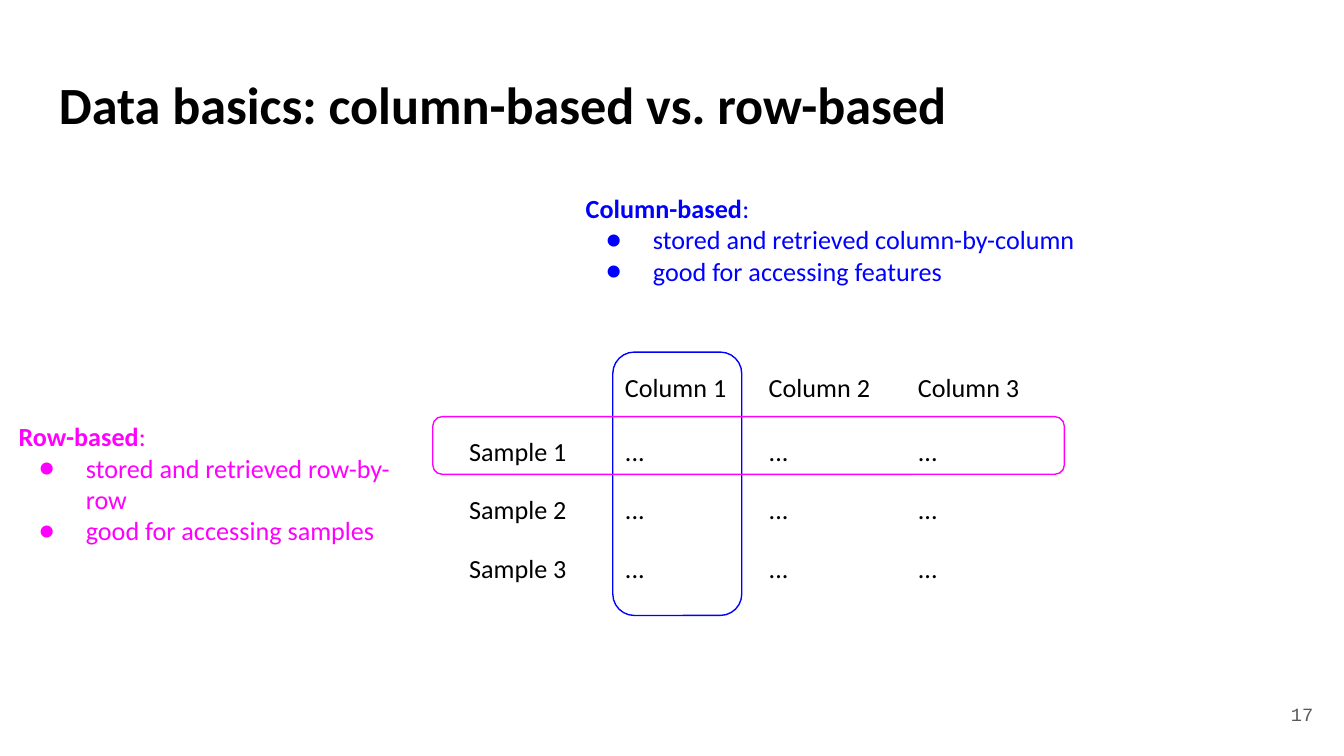
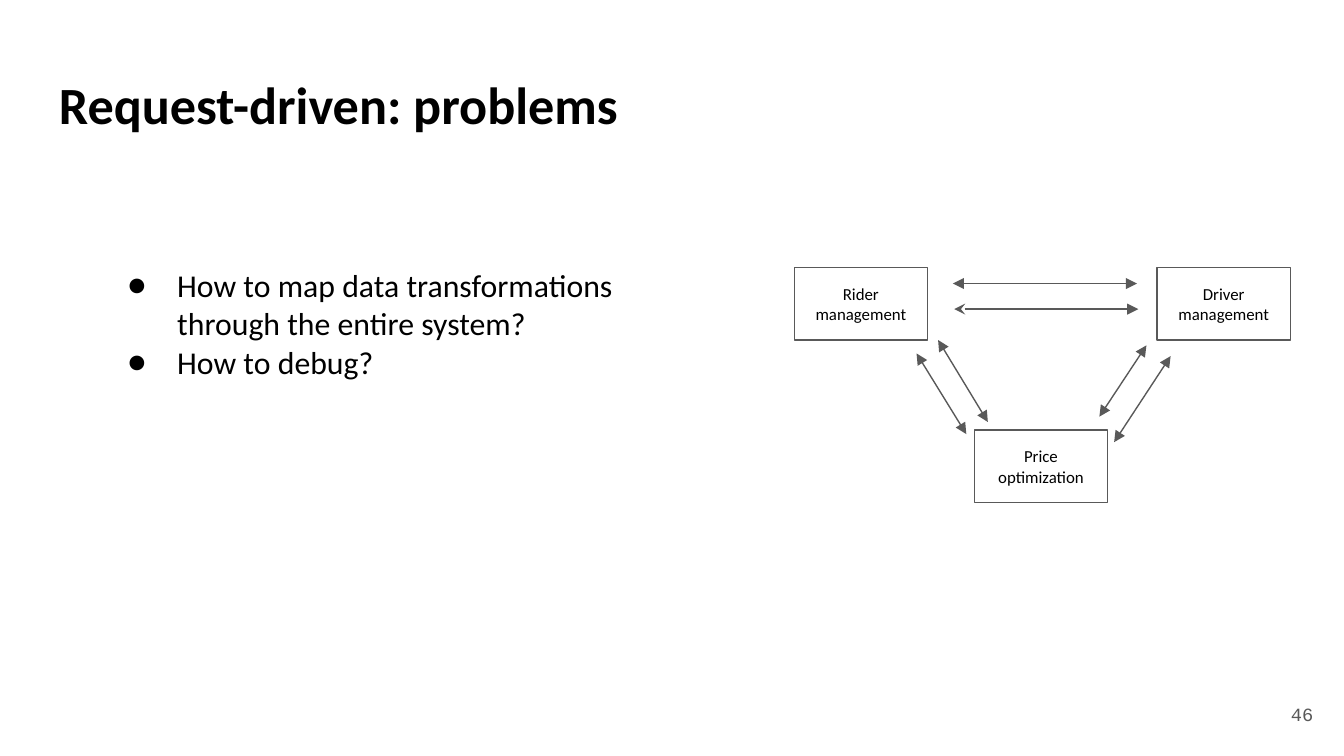
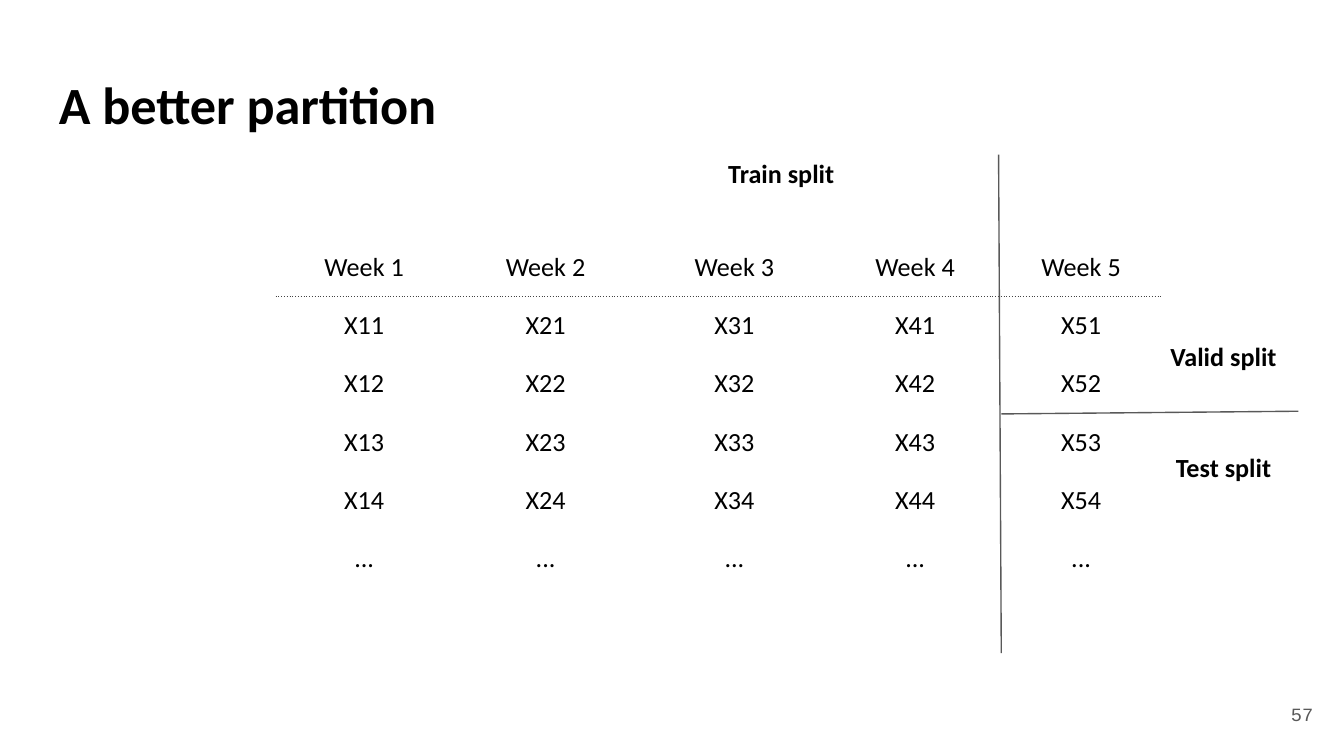
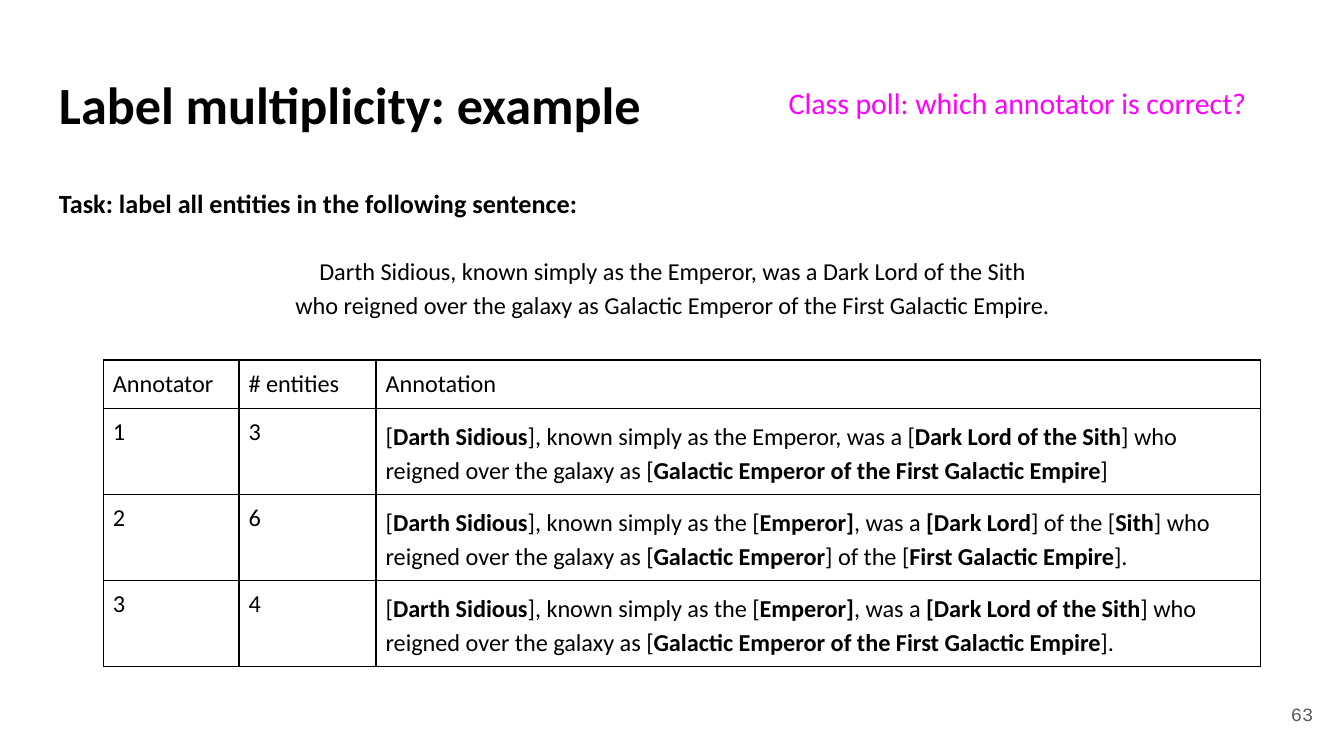
from lxml import etree
from pptx import Presentation
from pptx.dml.color import RGBColor
from pptx.enum.shapes import MSO_CONNECTOR, MSO_SHAPE
from pptx.enum.text import MSO_ANCHOR, PP_ALIGN
from pptx.oxml.ns import qn
from pptx.util import Inches, Pt

LEFT, CENTER, RIGHT = PP_ALIGN.LEFT, PP_ALIGN.CENTER, PP_ALIGN.RIGHT
TOP, MIDDLE = MSO_ANCHOR.TOP, MSO_ANCHOR.MIDDLE
ROUNDED, PROCESS = MSO_SHAPE.ROUNDED_RECTANGLE, MSO_SHAPE.FLOWCHART_PROCESS
STRAIGHT = MSO_CONNECTOR.STRAIGHT
PLAIN_TABLE_STYLE = "{2D5ABB26-0587-4C30-8999-92F81FD0307C}"

COLORS = {"text": "000000", "gray": "595959", "rule": "434343",
          "blue": "0000FF", "magenta": "FF00FF"}
BASE = {"size": 14, "color": "text", "font": "Calibri", "align": LEFT,
        "spacing": None, "before": None, "bullet": None}
TITLE = {"size": 28}
PAGE_NUMBER = {"size": 10, "color": "gray", "font": "Courier New", "align": RIGHT}
NODE = {"size": 9, "align": CENTER}
SLIDE_WIDTH = Inches(10)
SLIDE_HEIGHT = SLIDE_WIDTH * 9 // 16
TITLE_BOX = (0.34, 0.44, 9.32, 0.63)
NUMBER_BOX = (9.27, 5.1, 0.6, 0.43)
LINE_WIDTH = 0.75
ROW_HEIGHT = 0.42

# Text between ** marks is bold.
STORAGE_ROWS = [["", "Column 1", "Column 2", "Column 3"]] + [
    [f"Sample {number}"] + ["..."] * 3 for number in (1, 2, 3)]
STORAGE_HIGHLIGHTS = [((4.56, 2.62, 0.96, 1.96), "blue"),
                      ((3.22, 3.1, 4.7, 0.43), "magenta")]
STORAGE_NOTES = [
    ((0.04, 3.03, 3.18, 1.14), "magenta", "**Row-based**:",
     ["stored and retrieved row-by-row", "good for accessing samples"]),
    ((4.26, 1.33, 4.93, 0.91), "blue", "**Column-based**:",
     ["stored and retrieved column-by-column", "good for accessing features"]),
]

PROBLEMS = ["How to map data transformations through the entire system?",
            "How to debug?"]
SERVICE_SIZE = (0.99, 0.54)
SERVICES = [((5.91, 1.99), ["Rider", "management"]),
            ((8.61, 1.99), ["Driver management"]),
            ((7.25, 3.2), ["Price optimization"])]
SERVICE_ARROWS = [
    ((7.09, 2.11), (8.46, 2.11), "triangle"),
    ((7.1, 2.3), (8.47, 2.3), "stealth"),
    ((6.98, 2.53), (7.35, 3.14), "triangle"),
    ((6.82, 2.63), (7.19, 3.23), "triangle"),
    ((8.71, 2.65), (8.29, 3.29), "triangle"),
    ((8.18, 3.1), (8.53, 2.57), "triangle"),
]

WEEKS = range(1, 6)
WEEK_ROWS = ([[f"Week {week}" for week in WEEKS]]
             + [[f"X{week}{sample}" for week in WEEKS] for sample in range(1, 5)]
             + [["..."] * len(WEEKS)])
SPLIT_LINES = [((7.45, 3.08), (9.66, 3.06)), ((7.43, 1.15), (7.45, 4.86))]
SPLIT_LABELS = [((8.61, 2.43, 1.17, 0.44), "Valid split"),
                ((5.32, 1.07, 1.17, 0.44), "Train split"),
                ((8.65, 3.26, 1.22, 0.44), "Test split")]

POLL = "Class poll: which annotator is correct?"
TASK = "**Task: label all entities in the following sentence:**"
SENTENCE = ("Darth Sidious, known simply as the Emperor, was a Dark Lord of the Sith\n"
            "who reigned over the galaxy as Galactic Emperor of the First Galactic Empire.")
ANNOTATION_ROWS = [
    ["Annotator", "# entities", "Annotation"],
    ["1", "3", "[**Darth Sidious**], known simply as the Emperor, was a "
     "[**Dark Lord of the Sith**] who reigned over the galaxy as "
     "[**Galactic Emperor of the First Galactic Empire**]"],
    ["2", "6", "[**Darth Sidious**], known simply as the [**Emperor]**, was a "
     "**[Dark Lord**] of the [**Sith**] who reigned over the galaxy as "
     "[**Galactic Emperor**] of the [**First Galactic Empire**]."],
    ["3", "4", "[**Darth Sidious**], known simply as the [**Emperor]**, was a "
     "**[Dark Lord of the Sith**] who reigned over the galaxy as "
     "[**Galactic Emperor of the First Galactic Empire**]."],
]


def rgb(color):
    return RGBColor.from_string(COLORS[color])


def inches(values):
    return [Inches(value) for value in values]


def add_element(parent, tag, **attributes):
    return etree.SubElement(parent, qn(tag), attributes)


def add_bullet(paragraph, hanging, style):
    properties = paragraph._p.get_or_add_pPr()
    properties.set("marL", str(Inches(0.5)))
    properties.set("indent", str(-Inches(hanging)))
    add_element(add_element(properties, "a:buClr"), "a:srgbClr",
                val=COLORS[style["color"]])
    add_element(properties, "a:buFont", typeface=style["font"])
    add_element(properties, "a:buChar", char="●")


def write_paragraph(paragraph, text, style):
    style = {**BASE, **style}
    formats = {"alignment": style["align"], "line_spacing": style["spacing"]}
    if style["before"]:
        formats["space_before"] = Pt(style["before"])
    for name, value in formats.items():
        setattr(paragraph, name, value)
    if style["bullet"]:
        add_bullet(paragraph, style["bullet"], style)
    size = str(style["size"] * 100)
    if not text:
        add_element(paragraph._p, "a:endParaRPr", sz=size)
    for part_index, part in enumerate(text.split("**")):
        for line_index, line in enumerate(part.split("\n")):
            if line_index:
                paragraph.add_line_break()
                add_element(paragraph._p[-1], "a:rPr", sz=size)
            if line:
                run = paragraph.add_run()
                run.text = line
                fonts = {"name": style["font"], "size": Pt(style["size"]),
                         "bold": part_index % 2 == 1}
                for name, value in fonts.items():
                    setattr(run.font, name, value)
                run.font.color.rgb = rgb(style["color"])


def write_frame(frame, paragraphs, anchor):
    """Fill a text frame with (text, style) pairs."""
    settings = {"word_wrap": True, "vertical_anchor": anchor}
    for side in ("left", "right", "top", "bottom"):
        settings[f"margin_{side}"] = Inches(0.1)
    for name, value in settings.items():
        setattr(frame, name, value)
    for index, (text, style) in enumerate(paragraphs):
        paragraph = frame.add_paragraph() if index else frame.paragraphs[0]
        write_paragraph(paragraph, text, style)


def add_text(slide, box, paragraphs, anchor=TOP):
    shape = slide.shapes.add_textbox(*inches(box))
    write_frame(shape.text_frame, paragraphs, anchor)


def add_outline(slide, kind, box, color):
    shape = slide.shapes.add_shape(kind, *inches(box))
    shape.shadow.inherit = False
    shape.fill.background()
    shape.line.color.rgb = rgb(color)
    shape.line.width = Pt(LINE_WIDTH)
    return shape


def add_line(slide, start, end, head=None, tail=None):
    connector = slide.shapes.add_connector(STRAIGHT, *inches(start + end))
    connector.line.color.rgb = rgb("gray")
    connector.line.width = Pt(LINE_WIDTH)
    for tag, arrow in (("a:headEnd", head), ("a:tailEnd", tail)):
        if arrow:
            add_element(connector.line._get_or_add_ln(), tag, type=arrow)
    add_element(connector._element.spPr, "a:effectLst")


def set_borders(cell, drawn, color, width, dash="solid"):
    """Draw the named sides of a cell (L, R, T, B) and clear the others."""
    properties = cell._tc.get_or_add_tcPr()
    for index, side in enumerate("LRTB"):
        border = etree.Element(qn(f"a:ln{side}"), w=str(Pt(width)))
        if side in drawn:
            add_element(add_element(border, "a:solidFill"), "a:srgbClr",
                        val=COLORS[color])
            add_element(border, "a:prstDash", val=dash)
        else:
            add_element(border, "a:noFill")
        properties.insert(index, border)


def add_table(slide, corner, widths, heights, rows, style, margin=0.1):
    box = (*corner, sum(widths), sum(heights))
    table = slide.shapes.add_table(len(rows), len(widths), *inches(box)).table
    table.first_row = table.horz_banding = False
    table._tbl.tblPr.find(qn("a:tableStyleId")).text = PLAIN_TABLE_STYLE
    for column, width in zip(table.columns, widths):
        column.width = Inches(width)
    for row, height, texts in zip(table.rows, heights, rows):
        row.height = Inches(height)
        for cell, text in zip(row.cells, texts):
            cell.fill.background()
            for side in ("left", "right", "top", "bottom"):
                setattr(cell, f"margin_{side}", Inches(margin))
            spacing = 1.15 if "**" in text else None
            write_paragraph(cell.text_frame.paragraphs[0], text,
                            {**style, "spacing": spacing})
    return table


def add_slide(presentation, title, number):
    slide = presentation.slides.add_slide(presentation.slide_layouts[6])
    add_text(slide, TITLE_BOX, [(f"**{title}**", TITLE)])
    add_text(slide, NUMBER_BOX, [(str(number), PAGE_NUMBER)], MIDDLE)
    return slide


def build_storage(presentation):
    slide = add_slide(presentation, "Data basics: column-based vs. row-based", 17)
    add_table(slide, (3.39, 2.67), [1.16, 1.07, 1.11, 1.18],
              [0.48] + [ROW_HEIGHT] * 3, STORAGE_ROWS, {})
    for box, color in STORAGE_HIGHLIGHTS:
        add_outline(slide, ROUNDED, box, color)
    for box, color, heading, points in STORAGE_NOTES:
        bullet = {"color": color, "bullet": 0.35}
        add_text(slide, box, [(heading, {"color": color})]
                 + [(point, bullet) for point in points])


def build_request_problems(presentation):
    slide = add_slide(presentation, "Request-driven: problems", 46)
    for corner, lines in SERVICES:
        shape = add_outline(slide, PROCESS, corner + SERVICE_SIZE, "gray")
        write_frame(shape.text_frame, [(line, NODE) for line in lines], MIDDLE)
    for start, end, head in SERVICE_ARROWS:
        add_line(slide, start, end, head, "triangle")
    add_text(slide, (0.72, 1.88, 4.51, 2.68),
             [(problem, {"size": 17, "bullet": 0.37}) for problem in PROBLEMS])


def build_partition(presentation):
    slide = add_slide(presentation, "A better partition", 57)
    table = add_table(slide, (2.05, 1.77), [1.32, 1.38, 1.43, 1.26, 1.21],
                      [ROW_HEIGHT] * len(WEEK_ROWS), WEEK_ROWS, {"align": CENTER})
    ruled_sides = {0: "B", 1: "T"}
    for index, row in enumerate(table.rows):
        for cell in row.cells:
            set_borders(cell, ruled_sides.get(index, ""), "rule", LINE_WIDTH, "dot")
    for start, end in SPLIT_LINES:
        add_line(slide, start, end)
    for box, label in SPLIT_LABELS:
        add_text(slide, box, [(f"**{label}**", {})])


def build_multiplicity(presentation):
    slide = add_slide(presentation, "Label multiplicity: example", 63)
    add_text(slide, (0.34, 1.26, 9.32, 3.74), [
        (TASK, {"spacing": 1.15}),
        (SENTENCE, {"size": 13, "align": CENTER, "spacing": 1.15, "before": 18})])
    table = add_table(slide, (0.77, 2.68), [1.01, 1.02, 6.58],
                      [0.36] + [0.64] * 3, ANNOTATION_ROWS, {"size": 13}, 0.07)
    for cell in table.iter_cells():
        set_borders(cell, "LRTB", "text", 1)
    add_text(slide, (5.77, 0.53, 3.96, 0.63),
             [(POLL, {"size": 16, "color": "magenta"})])


def main():
    presentation = Presentation()
    presentation.slide_width = SLIDE_WIDTH
    presentation.slide_height = SLIDE_HEIGHT
    for build in (build_storage, build_request_problems,
                  build_partition, build_multiplicity):
        build(presentation)
    presentation.save("out.pptx")


if __name__ == "__main__":
    main()
